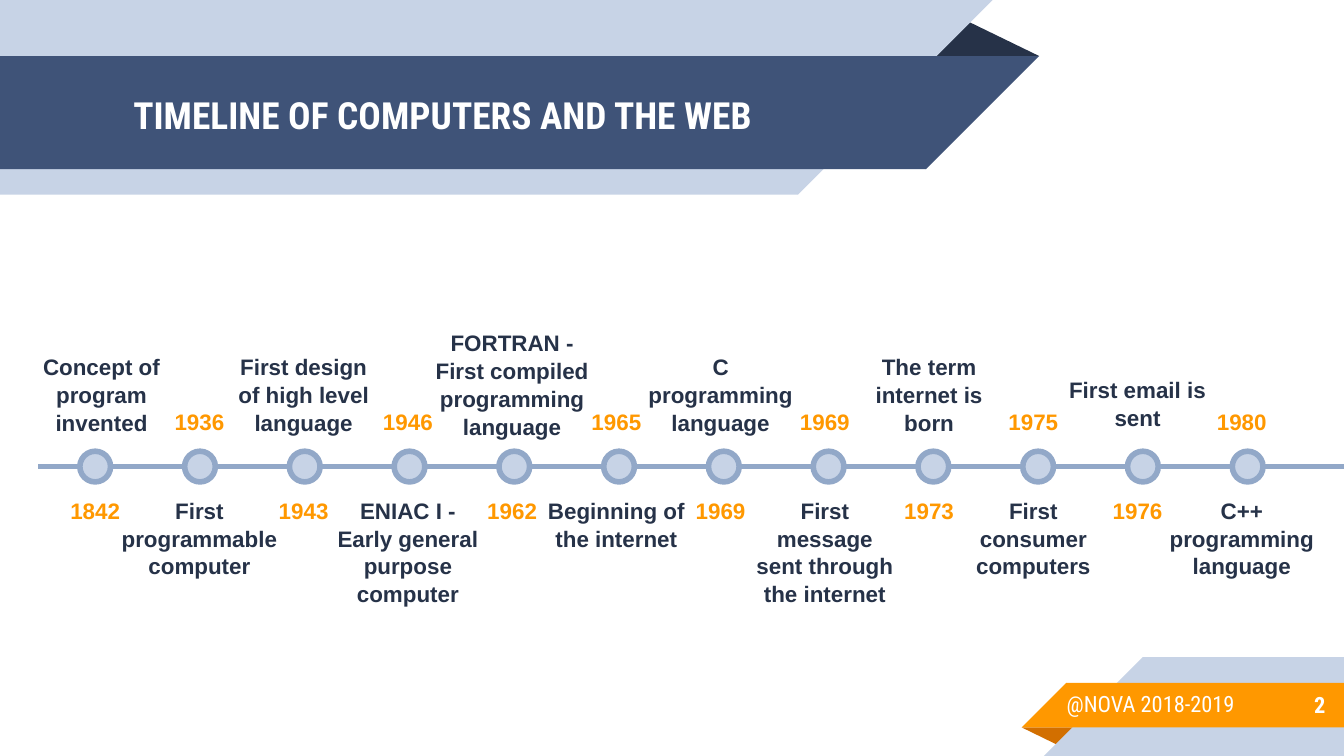
from dataclasses import dataclass

from lxml.etree import SubElement
from pptx import Presentation
from pptx.dml.color import RGBColor
from pptx.enum.shapes import MSO_CONNECTOR, MSO_SHAPE
from pptx.enum.text import MSO_ANCHOR, MSO_AUTO_SIZE, PP_ALIGN
from pptx.oxml.ns import qn
from pptx.util import Cm, Pt


@dataclass(frozen=True)
class Theme:
    navy: str = "3F5378"
    ink: str = "263248"
    pale: str = "C7D3E6"
    steel: str = "92A8C8"
    orange: str = "FF9800"
    rust: str = "D26F00"
    white: str = "FFFFFF"
    heading_font: str = "Roboto Condensed"
    body_font: str = "Arial"
    title_size: int = 20
    body_size: int = 12
    line_width: int = 3


@dataclass(frozen=True)
class Event:
    year: str
    description: str
    lines: int = 3
    width: float = 3.28
    shift: float = 0


THEME = Theme()
SLIDE_WIDTH, SLIDE_HEIGHT = 25.4, 14.29
FIRST_CENTER = 1.8
DOT_PITCH, TEXT_PITCH = 1.98, 1.97
DOT_SIZE = 0.58
AXIS_Y = 8.82
TOP_BELOW = 9.12
LINE_STEP = 0.44

EVENTS = [
    Event("1842", "Concept of program invented", shift=0.12),
    Event("1936", "First programmable computer", width=3.56),
    Event("1943", "First design of high level language"),
    Event("1946", "ENIAC I - Early general purpose computer", lines=4),
    Event("1962", "FORTRAN - First compiled programming language", lines=4, width=3.56),
    Event("1965", "Beginning of the internet", lines=2),
    Event("1969", "C programming language"),
    Event("1969", "First message sent through the internet", lines=4),
    Event("1973", "The term internet is born"),
    Event("1975", "First consumer computers"),
    Event("1976", "First email is sent", lines=2),
    Event("1980", "C++ programming language"),
]


def color(value):
    return RGBColor.from_string(value)


def place(shape, left, top, width, height):
    shape.left, shape.top = Cm(left), Cm(top)
    shape.width, shape.height = Cm(width), Cm(height)


def write_text(shape, text, *, size=THEME.body_size, font=THEME.body_font,
               fill=THEME.ink, bold=True, align=PP_ALIGN.CENTER,
               anchor=MSO_ANCHOR.TOP, spacing=1.0):
    frame = shape.text_frame
    frame.word_wrap = True
    frame.auto_size = MSO_AUTO_SIZE.NONE
    frame.vertical_anchor = anchor
    frame.margin_left = frame.margin_right = Cm(0.25)
    frame.margin_top = frame.margin_bottom = Cm(0.25)
    paragraph = frame.paragraphs[0]
    paragraph.alignment = align
    paragraph.line_spacing = spacing
    run = paragraph.add_run()
    run.text = text
    run.font.name = font
    run.font.size = Pt(size)
    run.font.bold = bold
    run.font.color.rgb = color(fill)


def add_text(slide, text, left, top, width, height, **text_format):
    box = slide.shapes.add_textbox(Cm(left), Cm(top), Cm(width), Cm(height))
    write_text(box, text, **text_format)


def add_filled(slide, kind, left, top, width, height, fill, *,
               rotation=0, flipped=False, outline=None):
    shape = slide.shapes.add_shape(kind, Cm(left), Cm(top), Cm(width), Cm(height))
    shape.shadow.inherit = False
    shape.fill.solid()
    shape.fill.fore_color.rgb = color(fill)
    if outline:
        shape.line.color.rgb = color(outline)
        shape.line.width = Pt(THEME.line_width)
    else:
        shape.line.fill.background()
    shape.rotation = rotation
    if flipped:
        shape.element.spPr.xfrm.set("flipH", "1")
    return shape


def add_fold(slide, left, top, width, height, fill, rotation=0):
    fold = add_filled(slide, MSO_SHAPE.ISOSCELES_TRIANGLE, left, top, width, height,
                      fill, rotation=rotation)
    fold.adjustments[0] = 0.324


def add_top_ribbon(slide, top, width, height, fill):
    add_filled(slide, MSO_SHAPE.RECTANGLE, 0, top, width, height, fill)
    add_filled(slide, MSO_SHAPE.RIGHT_TRIANGLE, width, top, height, height, fill,
               rotation=180, flipped=True)


def add_bottom_ribbon(slide, left, top, height, fill):
    add_filled(slide, MSO_SHAPE.RECTANGLE, left, top, SLIDE_WIDTH - left, height, fill)
    add_filled(slide, MSO_SHAPE.RIGHT_TRIANGLE, left - height, top, height, height, fill,
               flipped=True)


def add_title(slide, text):
    title = slide.shapes.title
    title.element.getparent().append(title.element)
    place(title, 2.27, 1.1, 14.6, 2.13)
    write_text(title, text, size=THEME.title_size, font=THEME.heading_font,
               fill=THEME.white, align=PP_ALIGN.LEFT, anchor=MSO_ANCHOR.MIDDLE)


def add_axis(slide):
    axis = slide.shapes.add_connector(MSO_CONNECTOR.STRAIGHT, Cm(0.72), Cm(AXIS_Y),
                                      Cm(25.5), Cm(AXIS_Y))
    axis.line.color.rgb = color(THEME.steel)
    axis.line.width = Pt(THEME.line_width)
    SubElement(axis.element.spPr, qn("a:effectLst"))


def add_dot(slide, index):
    left = FIRST_CENTER + index * DOT_PITCH - DOT_SIZE / 2
    add_filled(slide, MSO_SHAPE.OVAL, left, AXIS_Y - DOT_SIZE / 2, DOT_SIZE, DOT_SIZE,
               THEME.pale, outline=THEME.steel)


def add_event(slide, index, event):
    center = FIRST_CENTER + index * TEXT_PITCH
    described_above = index % 2 == 0
    if described_above:
        description_top = 6.4 + (3 - event.lines) * LINE_STEP
        year_top = TOP_BELOW
    else:
        description_top = TOP_BELOW
        year_top = 7.44
    add_text(slide, event.description, center - event.width / 2 + event.shift,
             description_top, event.width, 1.85, spacing=1.04)
    add_text(slide, event.year, center - 1.26, year_top, 2.52, 1.1,
             fill=THEME.orange, spacing=1.04)


def main():
    presentation = Presentation()
    presentation.slide_width = Cm(SLIDE_WIDTH)
    presentation.slide_height = Cm(SLIDE_HEIGHT)
    slide = presentation.slides.add_slide(presentation.slide_layouts[5])

    add_fold(slide, 17.48, 0.35, 2.16, 0.71, THEME.ink)
    add_top_ribbon(slide, 0, 15.08, 3.68, THEME.pale)
    add_top_ribbon(slide, 1.06, 17.5, 2.14, THEME.navy)
    add_fold(slide, 19.31, 13.75, 1.09, 0.36, THEME.rust, rotation=180)
    add_bottom_ribbon(slide, 21.6, 12.42, 1.87, THEME.pale)
    add_bottom_ribbon(slide, 20.15, 12.91, 0.84, THEME.orange)

    add_title(slide, "TIMELINE OF COMPUTERS AND THE WEB")
    add_text(slide, "2", 21.16, 12.88, 4.14, 0.89, font=THEME.heading_font,
             fill=THEME.white, align=PP_ALIGN.RIGHT, anchor=MSO_ANCHOR.MIDDLE)

    add_axis(slide)
    for index in range(len(EVENTS)):
        add_dot(slide, index)
    for index, event in enumerate(EVENTS):
        add_event(slide, index, event)

    add_text(slide, "@NOVA 2018-2019", 19.91, 12.8, 4.55, 1.4, font=THEME.heading_font,
             fill=THEME.white, bold=False, align=PP_ALIGN.LEFT)
    presentation.save("out.pptx")


if __name__ == "__main__":
    main()
